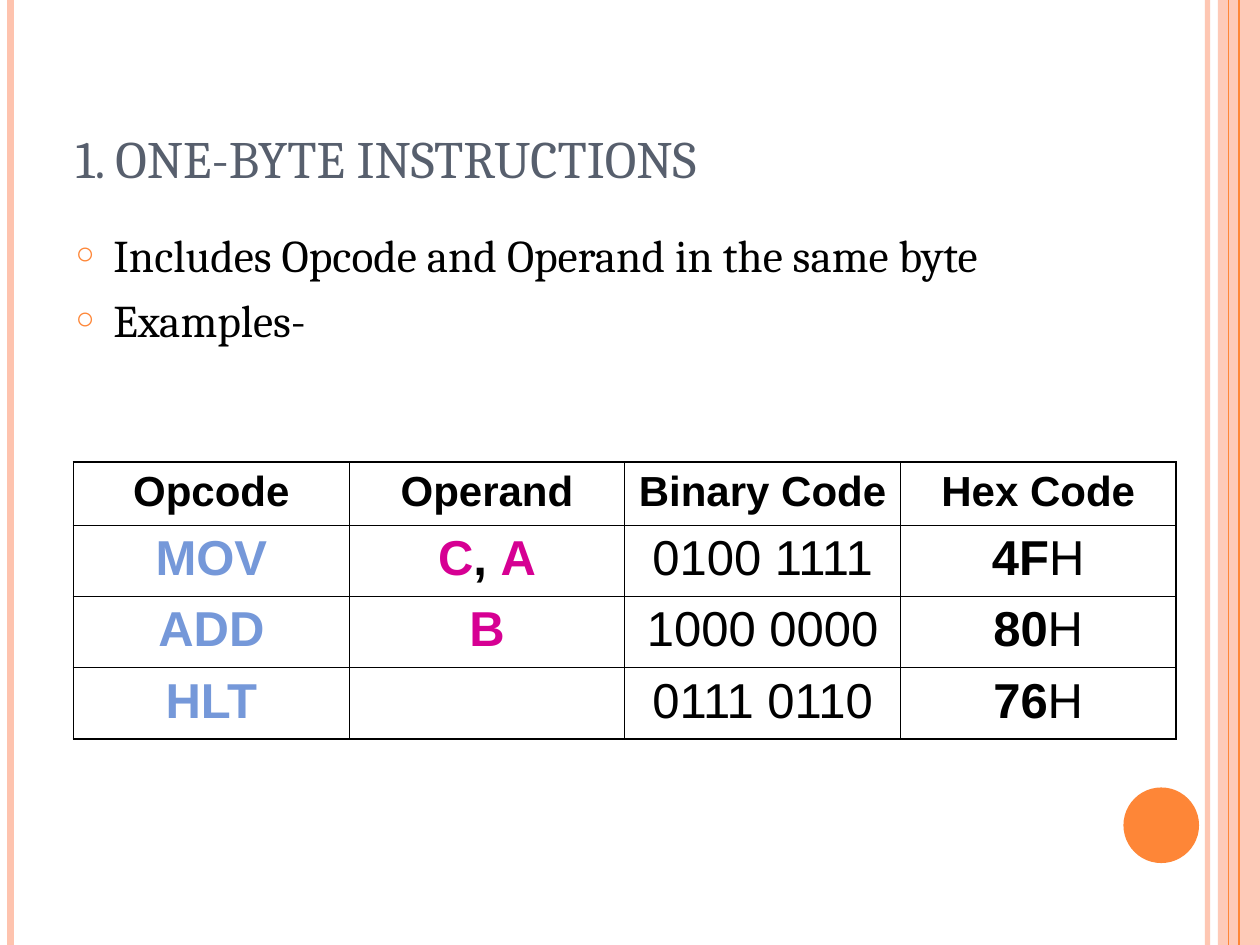
import pptx
import pptx.dml.color
import pptx.enum.shapes
import pptx.enum.text
import pptx.oxml
import pptx.oxml.ns
import pptx.util

COLORS = {"orange": "FE8637", "peach": "FEC3AE", "slate": "575F6D",
          "black": "000000", "blue": "7598D9", "magenta": "D60093"}
UNIT = pptx.util.Inches(10) / 120  # the slide is 120 columns by 90 rows
NAMESPACE = pptx.oxml.ns.nsdecls("a")


def grid(*cells):
    return [round(cell * UNIT) for cell in cells]


def format_font(font, color, **values):
    for name, value in values.items():
        setattr(font, name, value)
    font.color.rgb = pptx.dml.color.RGBColor.from_string(COLORS[color])


deck = pptx.Presentation()
deck.slide_width, deck.slide_height = grid(120, 90)
page = deck.slides.add_slide(deck.slide_layouts[1])
title, body = page.placeholders

# Side stripes: column, width in points, colour, opacity in percent
band = page.shapes.add_shape(pptx.enum.shapes.MSO_SHAPE.RECTANGLE, *grid(116, 0, 4, 90))
disc = page.shapes.add_shape(pptx.enum.shapes.MSO_SHAPE.OVAL, *grid(107, 75, 7.2, 7.2))
for shape, color in ((band, "peach"), (disc, "orange")):
    shape.shadow.inherit = False
    shape.fill.solid()
    shape.fill.fore_color.rgb = pptx.dml.color.RGBColor.from_string(COLORS[color])
    shape.line.fill.background()
fills = [(band, 87)]
stripes = [(115, 3, "peach", 93), (1, 4.5, "peach", 100),
           (118, 1.5, "orange", 100), (117, 0.75, "orange", 100)]
for column, width, color, opacity in stripes:
    stripe = page.shapes.add_connector(
        pptx.enum.shapes.MSO_CONNECTOR.STRAIGHT, *grid(column, 0, column, 90))
    stripe.line.width = pptx.util.Pt(width)
    stripe.line.color.rgb = pptx.dml.color.RGBColor.from_string(COLORS[color])
    stripe._element.spPr.append(pptx.oxml.parse_xml(f"<a:effectLst {NAMESPACE}/>"))
    fills.append((stripe, opacity))
for shape, opacity in fills:
    if opacity < 100:
        tint = next(shape._element.spPr.iter(pptx.oxml.ns.qn("a:srgbClr")))
        tint.append(pptx.oxml.parse_xml(f'<a:alpha {NAMESPACE} val="{opacity * 1000}"/>'))

# Title and list
places = [(title, (6, 3.6, 108, 15), pptx.enum.text.MSO_ANCHOR.BOTTOM),
          (body, (6, 21, 107, 17), pptx.enum.text.MSO_ANCHOR.TOP)]
for box, place, anchor in places:
    box.left, box.top, box.width, box.height = grid(*place)
    box.text_frame.auto_size = pptx.enum.text.MSO_AUTO_SIZE.NONE
    box.text_frame.vertical_anchor = anchor

title.text_frame.text = "1. ONE-BYTE INSTRUCTIONS"
heading = title.text_frame.paragraphs[0]
heading.alignment = pptx.enum.text.PP_ALIGN.LEFT
format_font(heading.runs[0].font, "slate", name="Cambria", size=pptx.util.Pt(30))

body.text_frame.text = "Includes Opcode and Operand in the same byte\nExamples-"
for index, para in enumerate(body.text_frame.paragraphs):
    para.space_before = pptx.util.Pt(6 if index else 0)
    properties = para._p.get_or_add_pPr()
    indent = pptx.util.Inches(0.3)
    properties.set("marL", str(indent))
    properties.set("indent", str(-indent))
    for bullet in (f'<a:buClr {NAMESPACE}><a:srgbClr val="{COLORS["orange"]}"/></a:buClr>',
                   f'<a:buSzPct {NAMESPACE} val="70000"/>',
                   f'<a:buChar {NAMESPACE} char="○"/>'):
        properties.append(pptx.oxml.parse_xml(bullet))
    format_font(para.runs[0].font, "black", name="Cambria", size=pptx.util.Pt(25.9))

# Instruction table: each cell is a list of (text, colour, bold)
headers = ["Opcode", "Operand", "Binary Code", "Hex Code"]
instructions = [
    ("MOV", [("C", "magenta", True), (", ", "black", True), ("A", "magenta", True)],
     "0100 1111", "4F"),
    ("ADD", [("B", "magenta", True)], "1000 0000", "80"),
    ("HLT", [], "0111 0110", "76"),
]
rows = [[[(header, "black", True)] for header in headers]]
for opcode, operand, binary, digits in instructions:
    rows.append([[(opcode, "blue", True)], operand, [(binary, "black", False)],
                 [(digits, "black", True), ("H", "black", False)]])

frame = page.shapes.add_table(len(rows), len(headers), *grid(7, 44, 105, 26.4))
table = frame.table
for column in table.columns:
    column.width = grid(105 / len(headers))[0]
for row_index, row in enumerate(rows):
    table.rows[row_index].height = grid(6.8 if row_index else 6)[0]
    for column_index, spans in enumerate(row):
        cell = table.cell(row_index, column_index)
        edges = {"L": column_index == 0, "R": column_index == len(headers) - 1,
                 "T": row_index == 0, "B": row_index == len(rows) - 1}
        for side, outer in edges.items():
            width = pptx.util.Pt(1.08 if outer else 0.45)
            cell._tc.get_or_add_tcPr().append(pptx.oxml.parse_xml(
                f'<a:ln{side} {NAMESPACE} w="{width}"><a:solidFill>'
                f'<a:srgbClr val="{COLORS["black"]}"/></a:solidFill></a:ln{side}>'))
        cell.fill.background()
        para = cell.text_frame.paragraphs[0]
        para.alignment = pptx.enum.text.PP_ALIGN.CENTER
        for text, color, bold in spans:
            span = para.add_run()
            span.text = text
            format_font(span.font, color, name="Arial", bold=bold,
                        size=pptx.util.Pt(28 if row_index else 24))

deck.save("out.pptx")
